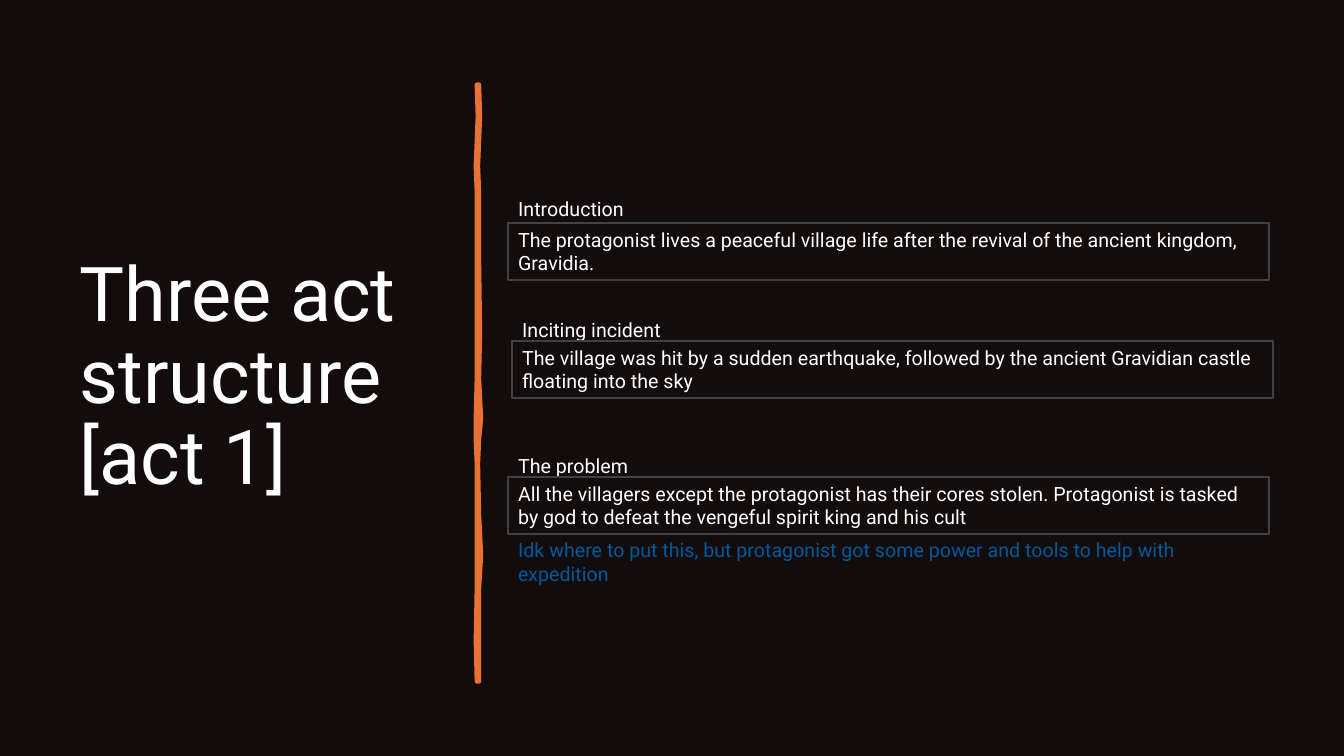
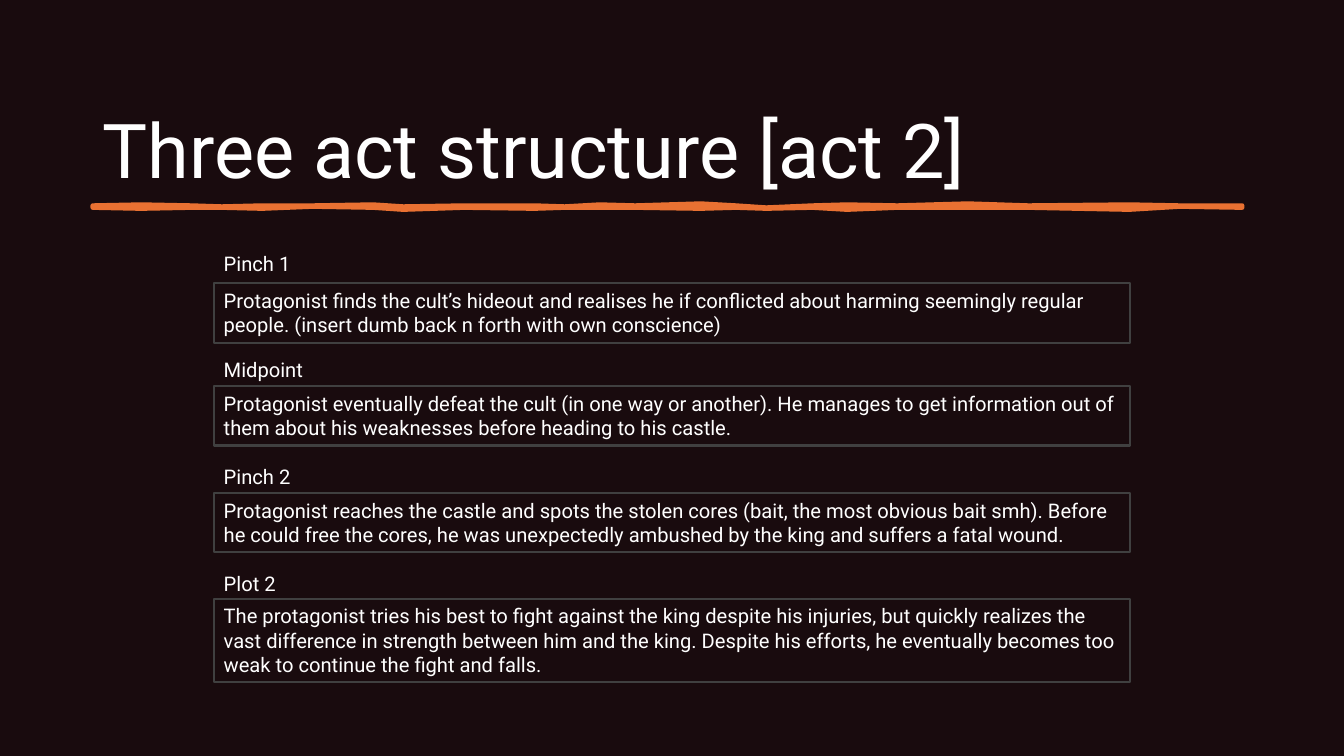
import dataclasses
import typing

import pptx
import pptx.dml.color
import pptx.enum.shapes
import pptx.enum.text
import pptx.oxml
import pptx.oxml.ns
import pptx.slide
import pptx.text.text
import pptx.util

Inches = pptx.util.Inches
Pt = pptx.util.Pt
RGB = pptx.dml.color.RGBColor
Text = pptx.enum.text

WHITE = RGB(0xFF, 0xFF, 0xFF)
ORANGE = RGB(0xE9, 0x71, 0x32)
GREY = RGB(0x40, 0x40, 0x40)
BLUE = RGB(0x00, 0x59, 0x9A)
BLACK = RGB(0x13, 0x0C, 0x0D)
MAROON = RGB(0x19, 0x0B, 0x0E)
FONT = "Roboto"
LABEL_H = 0.34


class Knot(typing.NamedTuple):
    """A point along a brush stroke with the offsets of its two edges."""
    along: float
    low: float
    high: float


class Beat(typing.NamedTuple):
    """A story beat: its label and the framed text below."""
    label: str
    body: str
    left: float
    label_top: float
    top: float
    height: float


@dataclasses.dataclass
class Page:
    """One slide of the story outline."""
    title: str
    place: tuple[float, float, float, float]
    back: RGB
    axis: float
    upright: bool
    stroke: list[Knot]
    beats: list[Beat]
    size: float
    label_w: float
    body_w: float
    note: str = ""
    note_top: float = 0


PAGES = [
    Page(
        "Three act structure [act 1]", (0.69, 0.7, 3.74, 6.11), BLACK, 4.74, True,
        [
            Knot(0.84, -0.01, 0.01), Knot(1.15, 0, 0.02), Knot(1.65, -0.02, 0),
            Knot(1.9, -0.01, 0.01), Knot(2.6, -0.01, 0.01), Knot(3.3, -0.01, 0.02),
            Knot(3.75, -0.01, 0.01), Knot(4.15, -0.02, 0.03), Knot(4.36, -0.02, 0.01),
            Knot(4.6, -0.01, 0), Knot(5.1, -0.01, 0.01), Knot(5.5, -0.01, 0.03),
            Knot(5.84, -0.01, 0.01), Knot(6.35, -0.02, 0.01), Knot(6.76, -0.01, 0.01),
        ],
        [
            Beat("Introduction",
                 "The protagonist lives a peaceful village life after the revival of "
                 "the ancient kingdom, Gravidia.", 5.04, 1.9, 2.21, 0.57),
            Beat("Inciting incident",
                 "The village was hit by a sudden earthquake, followed by the ancient "
                 "Gravidian castle floating into the sky", 5.08, 3.11, 3.38, 0.57),
            Beat("The problem",
                 "All the villagers except the protagonist has their cores stolen. "
                 "Protagonist is tasked by god to defeat the vengeful spirit king and "
                 "his cult", 5.04, 4.45, 4.73, 0.57),
        ],
        14, 3.22, 7.55,
        "Idk where to put this, but protagonist got some power and tools to help "
        "with expedition", 5.29,
    ),
    Page(
        "Three act structure [act 2]", (0.92, 0.8, 11.5, 1.45), MAROON, 2.05, False,
        [
            Knot(0.92, -0.01, 0.01), Knot(1.4, -0.02, 0.02), Knot(1.9, -0.01, 0.01),
            Knot(2.2, 0, 0.01), Knot(2.6, -0.01, 0.02), Knot(3.1, -0.01, 0),
            Knot(3.7, -0.02, 0.01), Knot(4, 0, 0.03), Knot(4.6, -0.01, 0.01),
            Knot(5.3, -0.01, 0.02), Knot(5.6, 0, 0.01), Knot(5.95, -0.02, 0.01),
            Knot(6.3, -0.01, 0.01), Knot(6.95, -0.03, 0.02), Knot(7.3, -0.01, 0.01),
            Knot(7.6, 0.01, 0.02), Knot(8.06, -0.01, 0.01), Knot(8.4, -0.02, 0.03),
            Knot(8.9, -0.01, 0.01), Knot(9.6, -0.03, 0.01), Knot(10.2, -0.01, 0.01),
            Knot(11.2, -0.02, 0.03), Knot(11.7, -0.01, 0), Knot(12.32, -0.01, 0.01),
        ],
        [
            Beat("Pinch 1",
                 "Protagonist finds the cult’s hideout and realises he if conflicted "
                 "about harming seemingly regular people. (insert dumb back n forth "
                 "with own conscience)", 2.12, 2.44, 2.81, 0.59),
            Beat("Midpoint",
                 "Protagonist eventually defeat the cult (in one way or another). He "
                 "manages to get information out of them about his weaknesses before "
                 "heading to his castle.", 2.12, 3.5, 3.83, 0.59),
            Beat("Pinch 2",
                 "Protagonist reaches the castle and spots the stolen cores (bait, the "
                 "most obvious bait smh). Before he could free the cores, he was "
                 "unexpectedly ambushed by the king and suffers a fatal wound.",
                 2.12, 4.56, 4.89, 0.59),
            Beat("Plot 2",
                 "The protagonist tries his best to fight against the king despite his "
                 "injuries, but quickly realizes the vast difference in strength "
                 "between him and the king. Despite his efforts, he eventually becomes "
                 "too weak to continue the fight and falls.", 2.12, 5.62, 5.94, 0.83),
        ],
        14.4, 3.88, 9.09,
    ),
]


def apply(item: typing.Any, values: dict[str, typing.Any]) -> None:
    """Set each named attribute on an object."""
    for name, value in values.items():
        setattr(item, name, value)


def write(frame: pptx.text.text.TextFrame, text: str, size: float,
          color: RGB = WHITE) -> None:
    """Fill a frame with one left-aligned paragraph."""
    frame.text = text
    apply(frame, {"word_wrap": True, "vertical_anchor": Text.MSO_ANCHOR.TOP,
                  "auto_size": Text.MSO_AUTO_SIZE.SHAPE_TO_FIT_TEXT})
    para = frame.paragraphs[0]
    apply(para, {"alignment": Text.PP_ALIGN.LEFT, "space_after": Pt(6)})
    font = para.runs[0].font
    apply(font, {"name": FONT, "size": Pt(size)})
    font.color.rgb = color


def add_title(slide: pptx.slide.Slide, page: Page) -> None:
    """Place and format the slide title."""
    title = slide.shapes.title
    sides = ("left", "top", "width", "height")
    apply(title, dict(zip(sides, map(Inches, page.place))))
    frame = title.text_frame
    write(frame, page.title, 54)
    apply(frame, {"vertical_anchor": Text.MSO_ANCHOR.MIDDLE,
                  "auto_size": Text.MSO_AUTO_SIZE.NONE})
    apply(frame.paragraphs[0], {"line_spacing": 0.9, "space_after": Pt(0)})


def add_stroke(slide: pptx.slide.Slide, page: Page) -> None:
    """Draw the uneven brush stroke beside or below the title."""
    edge = [(knot.along, knot.low) for knot in page.stroke]
    edge += [(knot.along, knot.high) for knot in reversed(page.stroke)]
    dots = [(along, page.axis + shift) for along, shift in edge]
    if page.upright:
        dots = [(x, y) for y, x in dots]
    dots = [(Inches(x), Inches(y)) for x, y in dots]
    pen = slide.shapes.build_freeform(*dots[0])
    pen.add_line_segments(dots[1:], close=True)
    brush = pen.convert_to_shape()
    brush.shadow.inherit = False
    brush.fill.solid()
    brush.fill.fore_color.rgb = ORANGE
    brush.line.color.rgb = ORANGE
    brush.line.width = Pt(3.25)
    outline = brush.line._get_or_add_ln()
    outline.append(pptx.oxml.parse_xml(
        f"<a:round {pptx.oxml.ns.nsdecls('a')}/>"))


def add_label(slide: pptx.slide.Slide, text: str, left: float, top: float,
              width: float, size: float, color: RGB = WHITE) -> None:
    """Add a plain line of text."""
    label = slide.shapes.add_textbox(
        Inches(left), Inches(top), Inches(width), Inches(LABEL_H))
    write(label.text_frame, text, size, color)


def add_beat(slide: pptx.slide.Slide, beat: Beat, page: Page) -> None:
    """Add a label and its framed text."""
    add_label(slide, beat.label, beat.left, beat.label_top, page.label_w, page.size)
    box = slide.shapes.add_shape(
        pptx.enum.shapes.MSO_SHAPE.RECTANGLE, Inches(beat.left), Inches(beat.top),
        Inches(page.body_w), Inches(beat.height))
    box.shadow.inherit = False
    box.fill.background()
    box.line.color.rgb = GREY
    box.line.width = Pt(1.5)
    write(box.text_frame, beat.body, page.size)


def add_page(deck: typing.Any, page: Page) -> None:
    """Build one slide."""
    slide = deck.slides.add_slide(deck.slide_layouts[5])
    fill = slide.background.fill
    fill.solid()
    fill.fore_color.rgb = page.back
    add_title(slide, page)
    add_stroke(slide, page)
    for beat in page.beats:
        add_beat(slide, beat, page)
    if page.note:
        add_label(slide, page.note, page.beats[-1].left, page.note_top, 7.46,
                  page.size, BLUE)


def main() -> None:
    """Build and save the deck."""
    deck = pptx.Presentation()
    apply(deck, {"slide_width": Inches(13.33), "slide_height": Inches(7.5)})
    for page in PAGES:
        add_page(deck, page)
    deck.save("out.pptx")


if __name__ == "__main__":
    main()
